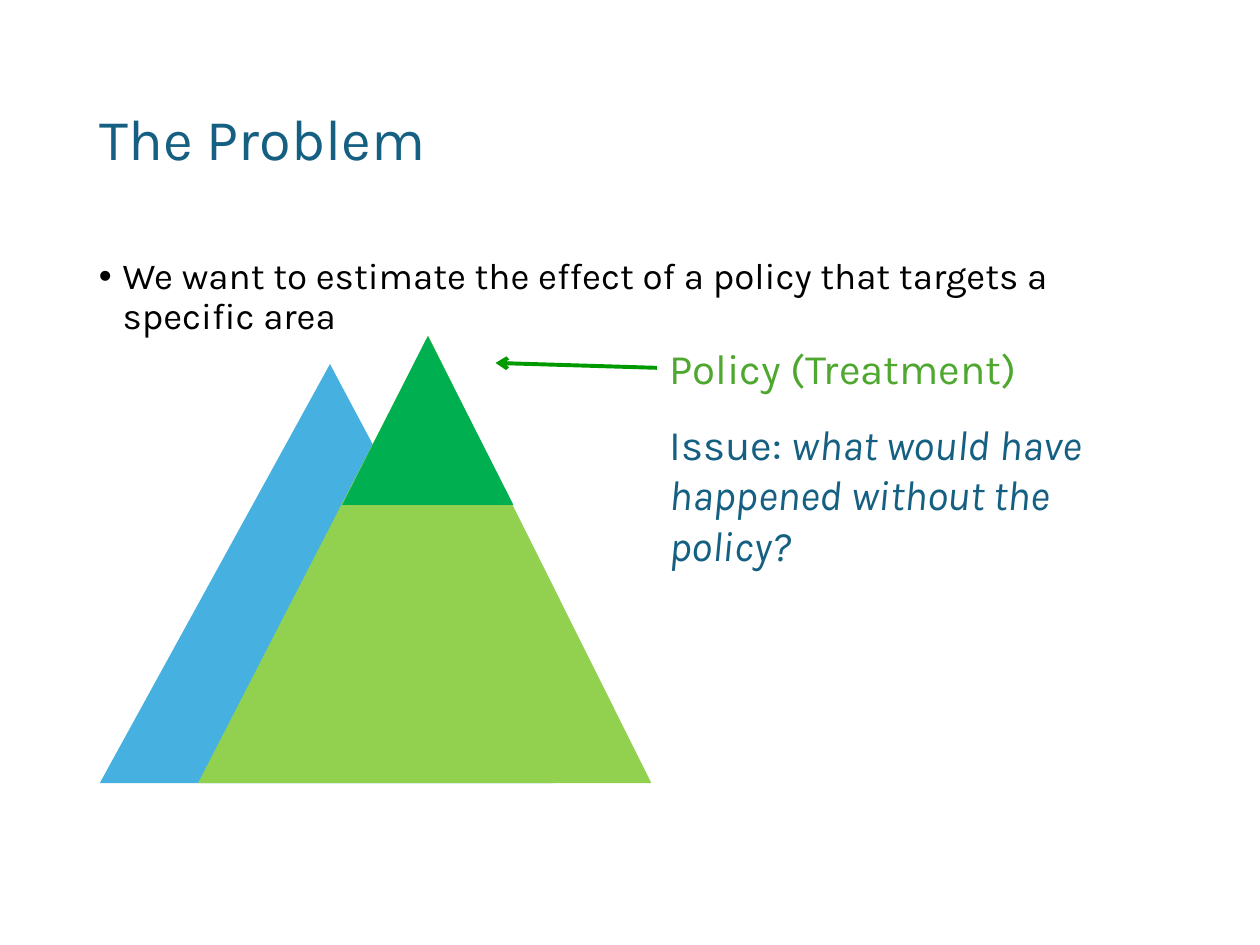
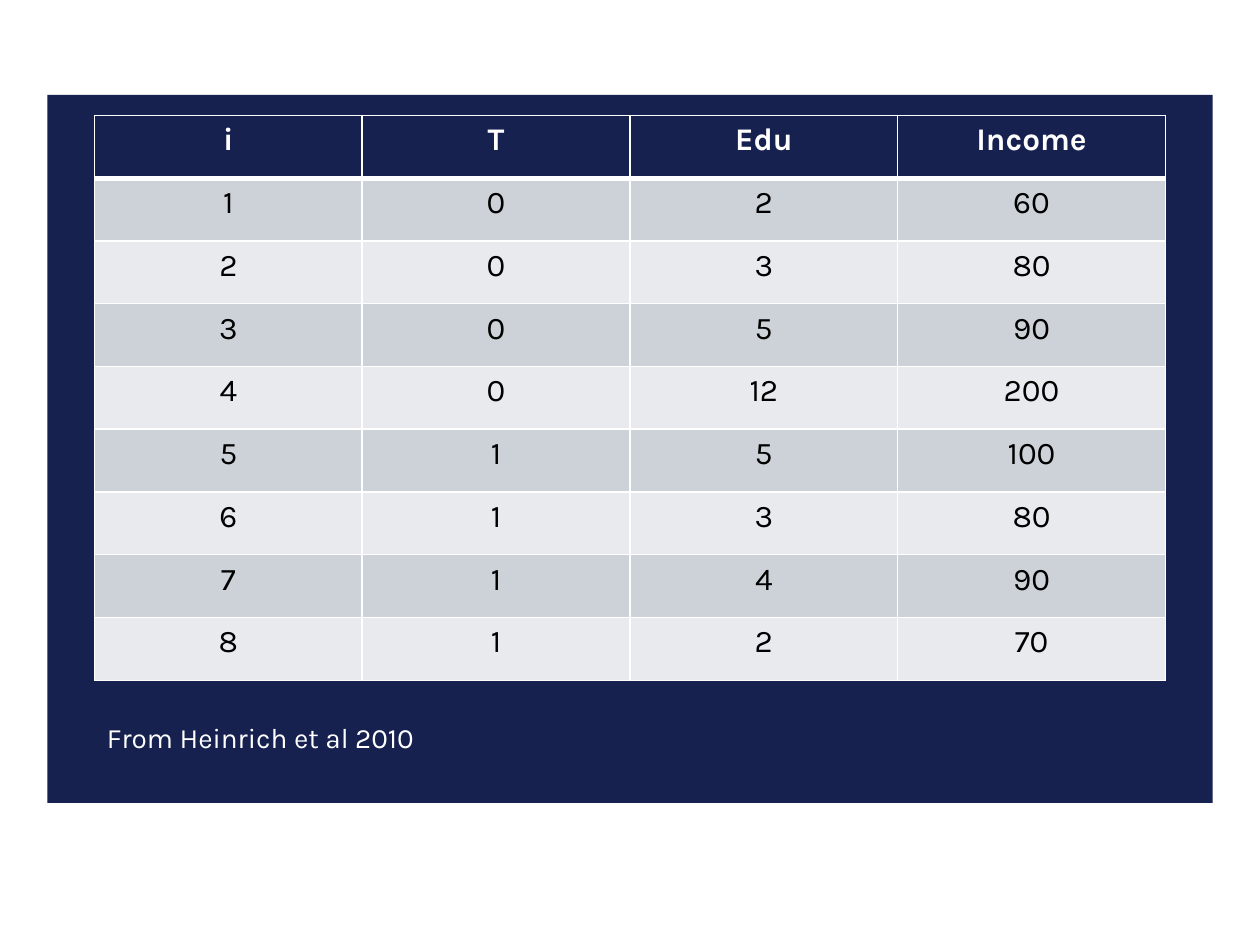
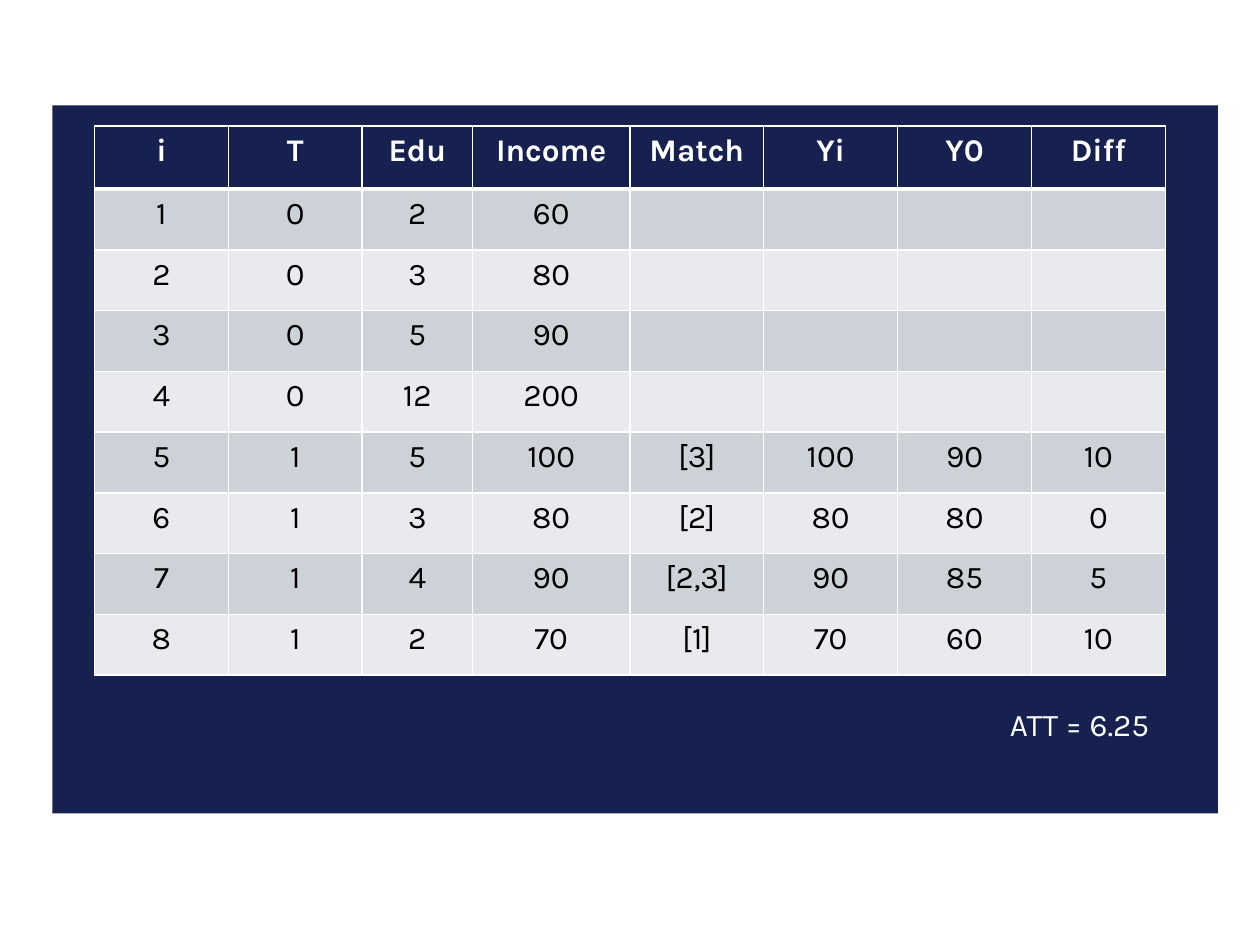
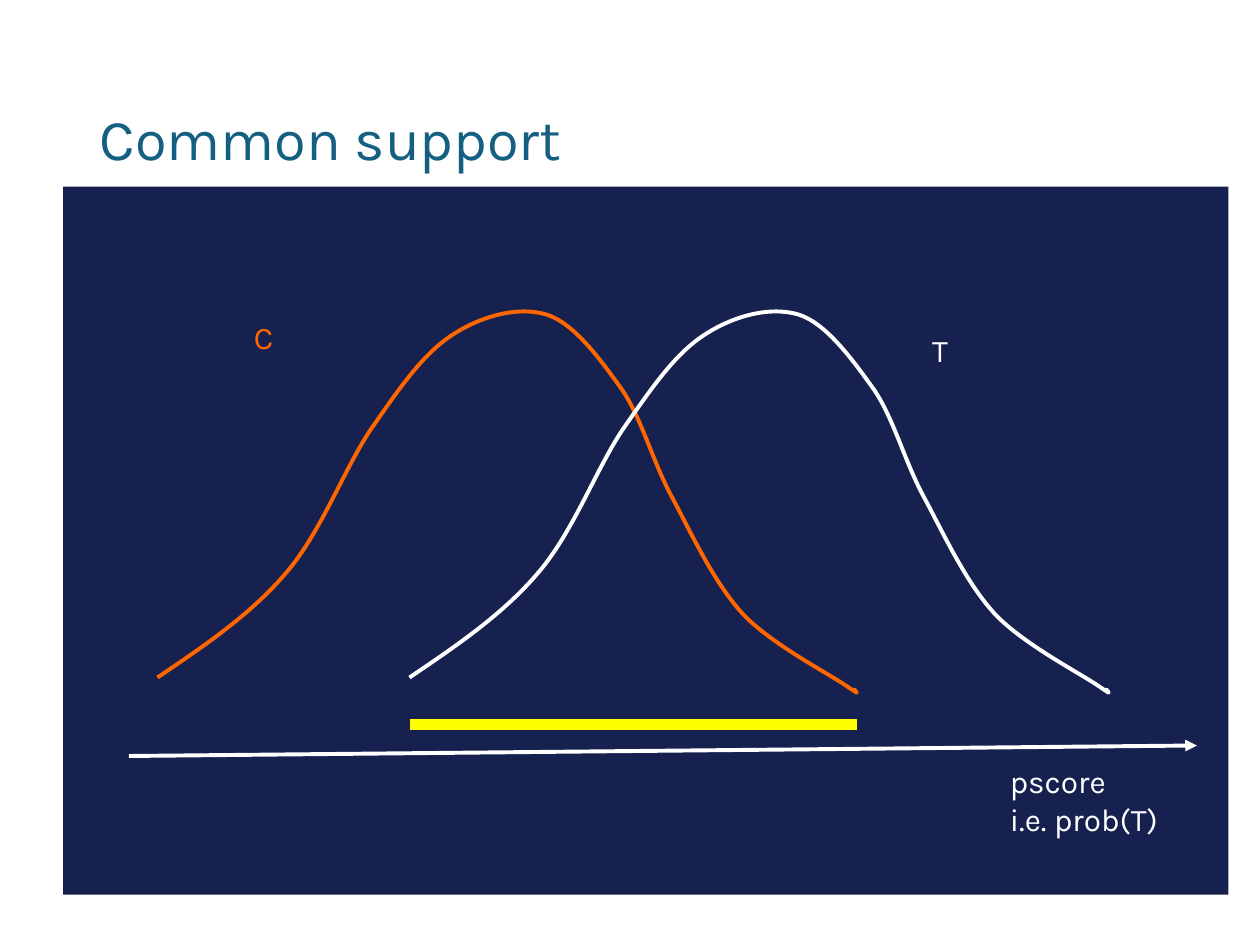
from dataclasses import dataclass

from lxml import etree
from pptx import Presentation
from pptx.dml.color import RGBColor
from pptx.enum.shapes import MSO_CONNECTOR, MSO_SHAPE
from pptx.enum.text import MSO_ANCHOR, MSO_AUTO_SIZE, PP_ALIGN
from pptx.oxml.ns import qn
from pptx.util import Pt

TRIANGLE = MSO_SHAPE.ISOSCELES_TRIANGLE
RECTANGLE = MSO_SHAPE.RECTANGLE
STRAIGHT = MSO_CONNECTOR.STRAIGHT
CENTER = PP_ALIGN.CENTER
TOP, MIDDLE = MSO_ANCHOR.TOP, MSO_ANCHOR.MIDDLE
GROW, FIXED = MSO_AUTO_SIZE.SHAPE_TO_FIT_TEXT, MSO_AUTO_SIZE.NONE


@dataclass(frozen=True)
class Theme:
    font: str = "Karla"
    # Colours
    heading: str = "156082"
    black: str = "000000"
    white: str = "FFFFFF"
    navy: str = "162150"
    band_dark: str = "CCD2D8"
    band_light: str = "E8EAED"
    blue: str = "46B1E1"
    lime: str = "92D050"
    green: str = "00B050"
    policy: str = "4EA72E"
    arrow: str = "009900"
    orange: str = "FF6600"
    yellow: str = "FFFF00"
    # Type sizes
    title_size: float = 33
    label_size: float = 24
    body_size: float = 21
    text_size: float = 18
    source_size: float = 16
    # Line widths
    line: float = 2.25
    thick: float = 6
    grid: float = 1
    header_rule: float = 3


class Deck:
    """Holds the style and the current slide; lengths are in points."""

    def __init__(self, theme):
        self.theme = theme
        self.deck = Presentation()
        self.deck.slide_width, self.deck.slide_height = Pt(720), Pt(540)
        self.page = None

    def new_page(self):
        self.page = self.deck.slides.add_slide(self.deck.slide_layouts[6])

    def add_span(self, para, words, size, color, bold=False, italic=False):
        span = para.add_run()
        span.text = words
        font = span.font
        font.name, font.size = self.theme.font, Pt(size)
        font.bold, font.italic = bold, italic
        font.color.rgb = RGBColor.from_string(color)

    def text(self, place, paras, size, color, anchor=TOP, fit=GROW, spacing=None):
        """Each paragraph is a list of (words, italic) spans."""
        box = self.page.shapes.add_textbox(*map(Pt, place))
        frame = box.text_frame
        frame.word_wrap, frame.auto_size = True, fit
        frame.vertical_anchor = anchor
        for index, spans in enumerate(paras):
            para = frame.add_paragraph() if index else frame.paragraphs[0]
            para.line_spacing = spacing
            for words, italic in spans:
                self.add_span(para, words, size, color, italic=italic)
        return frame

    def label(self, place, words, size, color):
        self.text(place, [[(words, False)]], size, color)

    def title(self, words):
        self.text((50, 28.75, 621, 104.4), [[(words, False)]],
                  self.theme.title_size, self.theme.heading, MIDDLE, FIXED, 0.9)

    def bullet(self, place, words):
        frame = self.text(place, [[(words, False)]], self.theme.body_size,
                          self.theme.black, fit=FIXED, spacing=0.9)
        para = frame.paragraphs[0]
        para.space_before = Pt(7.5)
        props = para._p.get_or_add_pPr()
        props.set("marL", str(Pt(13.5)))
        props.set("indent", str(-Pt(13.5)))
        etree.SubElement(props, qn("a:buFont"), typeface="Arial")
        etree.SubElement(props, qn("a:buChar"), char="•")

    def shape(self, kind, place, color, apex=None):
        shape = self.page.shapes.add_shape(kind, *map(Pt, place))
        shape.shadow.inherit = False
        shape.fill.solid()
        shape.fill.fore_color.rgb = RGBColor.from_string(color)
        shape.line.fill.background()
        if apex:
            shape.adjustments[0] = apex

    def panel(self, left, top):
        self.shape(RECTANGLE, (left, top, 666, 404.6), self.theme.navy)

    def line(self, start, end, color, width, head=None):
        line = self.page.shapes.add_connector(STRAIGHT, *map(Pt, (*start, *end)))
        line.line.color.rgb = RGBColor.from_string(color)
        line.line.width = Pt(width)
        if head:
            etree.SubElement(line.line._get_or_add_ln(), qn("a:tailEnd"), type=head)
        etree.SubElement(line._element.spPr, qn("a:effectLst"))

    def curve(self, start, segments, color):
        """Draws cubic segments whose points are offsets from the start."""
        left, top = start
        builder = self.page.shapes.build_freeform(Pt(left), Pt(top))
        builder.add_line_segments([(Pt(left + x), Pt(top + y)) for _, _, (x, y) in segments],
                                  close=False)
        curve = builder.convert_to_shape()
        # Bend each straight segment with its two control points
        straights = list(curve._element.iter(qn("a:lnTo")))
        for straight, points in zip(straights, segments):
            bend = etree.Element(qn("a:cubicBezTo"))
            for x, y in points:
                etree.SubElement(bend, qn("a:pt"), x=str(Pt(left + x) - curve.left),
                                 y=str(Pt(top + y) - curve.top))
            straight.getparent().replace(straight, bend)
        curve.shadow.inherit = False
        curve.fill.background()
        curve.line.color.rgb = RGBColor.from_string(color)
        curve.line.width = Pt(self.theme.line)

    def border(self, cell, side, width):
        edge = etree.SubElement(cell._tc.get_or_add_tcPr(), qn(f"a:ln{side}"), w=str(Pt(width)))
        fill = etree.SubElement(edge, qn("a:solidFill"))
        etree.SubElement(fill, qn("a:srgbClr"), val=self.theme.white)

    def table(self, left, top, widths, heights, rows):
        theme = self.theme
        frame = self.page.shapes.add_table(len(rows), len(widths), Pt(left), Pt(top),
                                           Pt(sum(widths)), Pt(sum(heights)))
        table = frame.table
        for column, width in zip(table.columns, widths):
            column.width = Pt(width)
        for index, (row, height, values) in enumerate(zip(table.rows, heights, rows)):
            row.height = Pt(height)
            header = index == 0
            rules = {"L": theme.grid, "R": theme.grid,
                     "T": theme.header_rule if index == 1 else theme.grid,
                     "B": theme.header_rule if header else theme.grid}
            for column, cell in enumerate(row.cells):
                for side, width in rules.items():
                    self.border(cell, side, width)
                if header:
                    cell.fill.background()
                else:
                    cell.fill.solid()
                    cell.fill.fore_color.rgb = RGBColor.from_string(
                        theme.band_dark if index % 2 else theme.band_light)
                para = cell.text_frame.paragraphs[0]
                para.alignment = CENTER
                if column < len(values):
                    self.add_span(para, str(values[column]), theme.text_size,
                                  theme.white if header else theme.black, bold=header)


# Data shared by both tables
HEADER = ("i", "T", "Edu", "Income")
PEOPLE = [(1, 0, 2, 60), (2, 0, 3, 80), (3, 0, 5, 90), (4, 0, 12, 200),
          (5, 1, 5, 100), (6, 1, 3, 80), (7, 1, 4, 90), (8, 1, 2, 70)]
MATCH_HEADER = ("Match", "Yi", "Y0", "Diff")
MATCHES = {5: ("[3]", 100, 90, 10), 6: ("[2]", 80, 80, 0),
           7: ("[2,3]", 90, 85, 5), 8: ("[1]", 70, 60, 10)}

# Bell curve: two control points and an end for each segment
BELL = [
    ((26.6, -18), (53.3, -36), (73.5, -59.8)),
    ((94, -83.5), (107.3, -121), (123.1, -143.5)),
    ((139, -166.3), (151.9, -185), (168.5, -195.8)),
    ((185, -206.6), (205.9, -212.4), (222.5, -207.4)),
    ((238.3, -202.3), (253.4, -181.4), (265.7, -164.2)),
    ((277.2, -146.9), (283, -123.1), (294.5, -102.2)),
    ((306, -80.6), (318.2, -54), (334.8, -36)),
    ((351.4, -18.7), (383.8, -2.2), (394, 5)),
    ((404.6, 12.2), (396.7, 6.5), (398.2, 6.8)),
    ((399, 7.2), (399, 7.2), (399.4, 8.2)),
]


def problem_page(deck):
    theme = deck.theme
    deck.new_page()
    deck.title("The Problem")
    deck.bullet((49.5, 144, 621, 342.7),
                "We want to estimate the effect of a policy that targets a specific area")
    # Mountains
    deck.shape(TRIANGLE, (57, 208, 259, 239.5), theme.blue, 0.508)
    deck.shape(TRIANGLE, (113.2, 192, 259, 255.5), theme.lime, 0.508)
    deck.shape(TRIANGLE, (195.6, 192, 97.8, 96.5), theme.green)
    # Policy and issue
    deck.label((375.4, 192, 291.6, 36), "Policy (Treatment)", theme.label_size, theme.policy)
    deck.line((375.4, 210.2), (283.2, 207.4), theme.arrow, theme.line, "arrow")
    deck.text((375.4, 235.5, 260.6, 94.3),
              [[("Issue: ", False), ("what would have happened without the policy?", True)]],
              theme.label_size, theme.heading)


def sample_page(deck):
    deck.new_page()
    deck.panel(27, 54.2)
    deck.table(54, 66, [153] * 4, [35.87] * 9, [HEADER, *PEOPLE])
    deck.label((54, 408, 306, 26.6), "From Heinrich et al 2010",
               deck.theme.source_size, deck.theme.white)


def matching_page(deck):
    deck.new_page()
    deck.panel(30, 60.2)
    rows = [HEADER + MATCH_HEADER]
    rows += [person + MATCHES.get(person[0], ()) for person in PEOPLE]
    deck.table(54, 72, [76.5, 76.5, 63, 90] + [76.5] * 4, [36] + [34.74] * 8, rows)
    deck.label((570, 399.6, 138, 36), "ATT = 6.25", deck.theme.text_size, deck.theme.white)


def support_page(deck):
    theme = deck.theme
    deck.new_page()
    deck.panel(36, 106.7)
    deck.title("Common support")
    # Two equal curves, one shifted
    for left, color in ((90, theme.orange), (234, theme.white)):
        deck.curve((left, 387.2), BELL, color)
    # Axis and captions
    deck.line((73.6, 432), (684, 426), theme.white, theme.line, "triangle")
    deck.text((570, 432, 114, 51), [[("pscore", False)], [("i.e. prob(T)", False)]],
              theme.text_size, theme.white)
    deck.label((138, 178.2, 72, 36), "C", theme.text_size, theme.orange)
    deck.label((525.6, 185.6, 72, 36), "T", theme.text_size, theme.white)
    # Overlap
    deck.line((234, 414), (489.6, 414), theme.yellow, theme.thick)


def main():
    deck = Deck(Theme())
    for build in (problem_page, sample_page, matching_page, support_page):
        build(deck)
    deck.deck.save("out.pptx")


if __name__ == "__main__":
    main()
